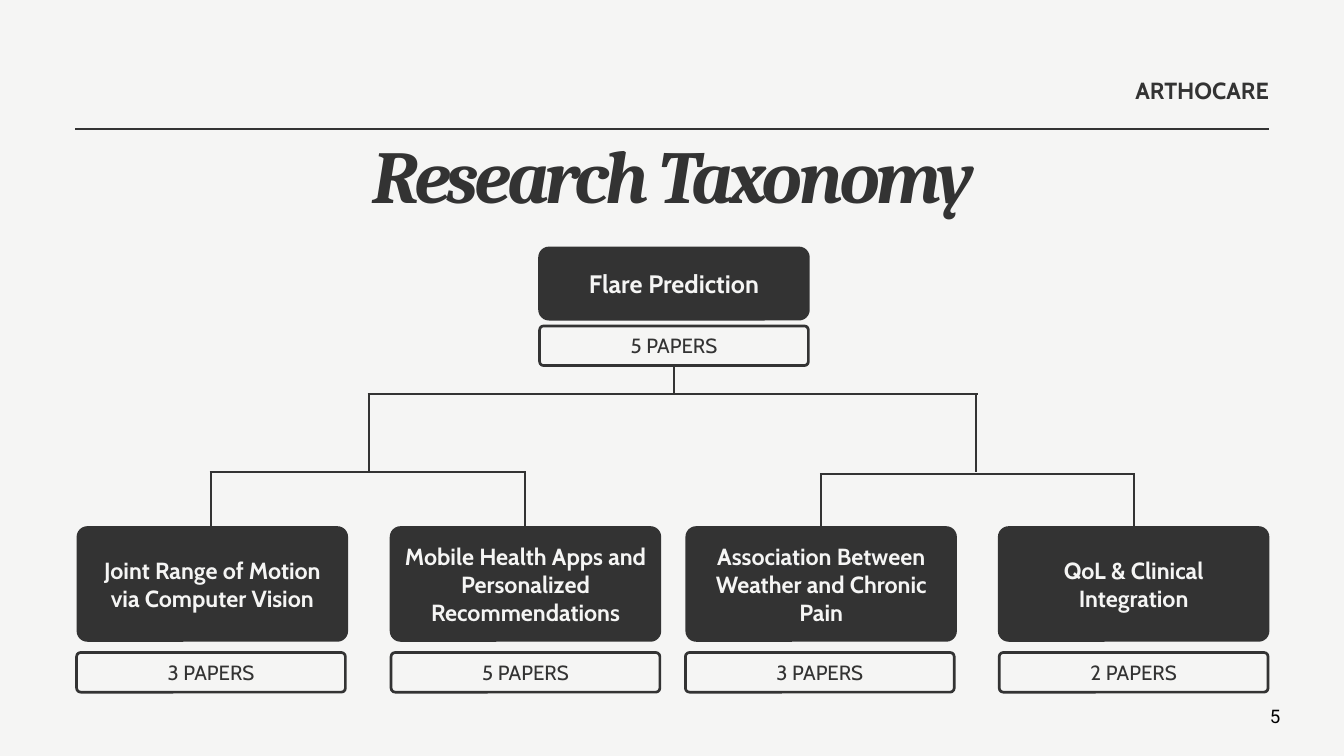
from dataclasses import dataclass

from lxml import etree
from pptx import Presentation
from pptx.dml.color import RGBColor
from pptx.enum.shapes import MSO_CONNECTOR, MSO_SHAPE
from pptx.enum.text import MSO_ANCHOR, MSO_AUTO_SIZE, PP_ALIGN
from pptx.oxml.ns import qn
from pptx.util import Inches, Pt

ROUND = MSO_SHAPE.ROUNDED_RECTANGLE
STRAIGHT = MSO_CONNECTOR.STRAIGHT
TOP, MIDDLE = MSO_ANCHOR.TOP, MSO_ANCHOR.MIDDLE
CENTER, RIGHT = PP_ALIGN.CENTER, PP_ALIGN.RIGHT
FIXED = MSO_AUTO_SIZE.NONE

COLORS = {"dark": "333333", "light": "F5F5F4", "black": "000000"}
CARD_W, TAG_H = 4.04, 0.63
EDGE, INSET = 0.04, 0.14
OVER = 0.02


@dataclass
class Topic:
    name: str
    count: str
    left: float
    tag_left: float
    top: float = 7.83
    height: float = 1.72
    tag_top: float = 9.69
    size: float = 25


@dataclass
class Fork:
    bus: float
    left: float
    right: float
    foot: float


TOPICS = [
    Topic("Flare Prediction", "5 PAPERS", 8.01, 8.01, 3.67, 1.1, 4.83, 27),
    Topic("Joint Range of Motion via Computer Vision", "3 PAPERS", 1.14, 1.12),
    Topic("Mobile Health Apps and Personalized Recommendations",
          "5 PAPERS", 5.8, 5.8),
    Topic("Association Between Weather and Chronic Pain",
          "3 PAPERS", 10.2, 10.18),
    Topic("QoL & Clinical Integration", "2 PAPERS", 14.85, 14.85),
]
FORKS = [
    Fork(5.87, 5.49, 14.53, 7.03),
    Fork(7.03, 3.14, 7.81, 7.83),
    Fork(7.05, 12.22, 16.87, 7.83),
]


def tint(key: str) -> RGBColor:
    return RGBColor.from_string(COLORS[key])


def write(shape, text: str, *, size: float, lead: float, color: str = "dark",
          face: str = "Cabin", bold: bool = False, italic: bool = False,
          align=CENTER, anchor=TOP, inset: float = 0, track: int = 0) -> None:
    frame = shape.text_frame
    frame.auto_size = FIXED
    frame.word_wrap = True
    frame.vertical_anchor = anchor
    frame.margin_left = frame.margin_right = Inches(inset)
    frame.margin_top = frame.margin_bottom = 0
    para = frame.paragraphs[0]
    para.alignment = align
    para.line_spacing = Pt(lead)
    para.space_before = Pt(0)
    run = para.add_run()
    run.text = text
    font = run.font
    font.name, font.size = face, Pt(size)
    font.bold, font.italic = bold, italic
    font.color.rgb = tint(color)
    if track:
        font._element.set("spc", str(track))


def add_text(slide, box: tuple[float, ...], text: str, **style) -> None:
    write(slide.shapes.add_textbox(*map(Inches, box)), text, **style)


def add_line(slide, x1: float, y1: float, x2: float, y2: float) -> None:
    line = slide.shapes.add_connector(STRAIGHT, *map(Inches, (x1, y1, x2, y2)))
    line.line.color.rgb = tint("dark")
    line.line.width = Pt(2.25)
    etree.SubElement(line._element.spPr, qn("a:effectLst"))


def add_round(slide, box: tuple[float, ...], radius: float):
    shape = slide.shapes.add_shape(ROUND, *map(Inches, box))
    shape.adjustments[0] = radius / box[3]
    shape.shadow.inherit = False
    return shape


def add_fork(slide, fork: Fork) -> None:
    add_line(slide, fork.left - OVER, fork.bus, fork.right + OVER, fork.bus)
    for x in (fork.left, fork.right):
        add_line(slide, x, fork.bus, x, fork.foot)


def add_topic(slide, topic: Topic) -> None:
    card = add_round(slide, (topic.left, topic.top, CARD_W, topic.height), 0.16)
    card.fill.solid()
    card.fill.fore_color.rgb = tint("dark")
    card.line.fill.background()
    write(card, topic.name, size=topic.size, lead=topic.size * 1.2,
          color="light", bold=True, anchor=MIDDLE, inset=INSET)

    half = EDGE / 2
    tag = add_round(slide, (topic.tag_left + half, topic.tag_top + half,
                            CARD_W - EDGE, TAG_H - EDGE), 0.06)
    tag.fill.background()
    tag.line.color.rgb = tint("dark")
    tag.line.width = Inches(EDGE)
    write(tag, topic.count, size=22, lead=26.4, anchor=MIDDLE, inset=INSET)


def main() -> None:
    deck = Presentation()
    deck.slide_width, deck.slide_height = Inches(20), Inches(11.25)
    slide = deck.slides.add_slide(deck.slide_layouts[5])
    slide.background.fill.solid()
    slide.background.fill.fore_color.rgb = tint("light")

    title = slide.shapes.title
    title.left, title.top = Inches(3.45), Inches(1.92)
    title.width, title.height = Inches(13.13), Inches(1.33)
    write(title, "Research Taxonomy", size=80, lead=96, face="Cambria",
          bold=True, italic=True, track=-390)

    add_line(slide, 1.12, 1.92, 18.88, 1.92)
    add_text(slide, (13.37, 1.06, 5.51, 0.47), "ARTHOCARE",
             size=25, lead=35, bold=True, align=RIGHT)

    add_line(slide, 10.03, 5.43, 10.03, 5.87)
    for fork in FORKS:
        add_fork(slide, fork)
    for topic in TOPICS:
        add_topic(slide, topic)

    add_text(slide, (18.89, 10.44, 0.17, 0.22), "5",
             size=20, lead=28, color="black", face="Roboto")
    deck.save("out.pptx")


if __name__ == "__main__":
    main()
